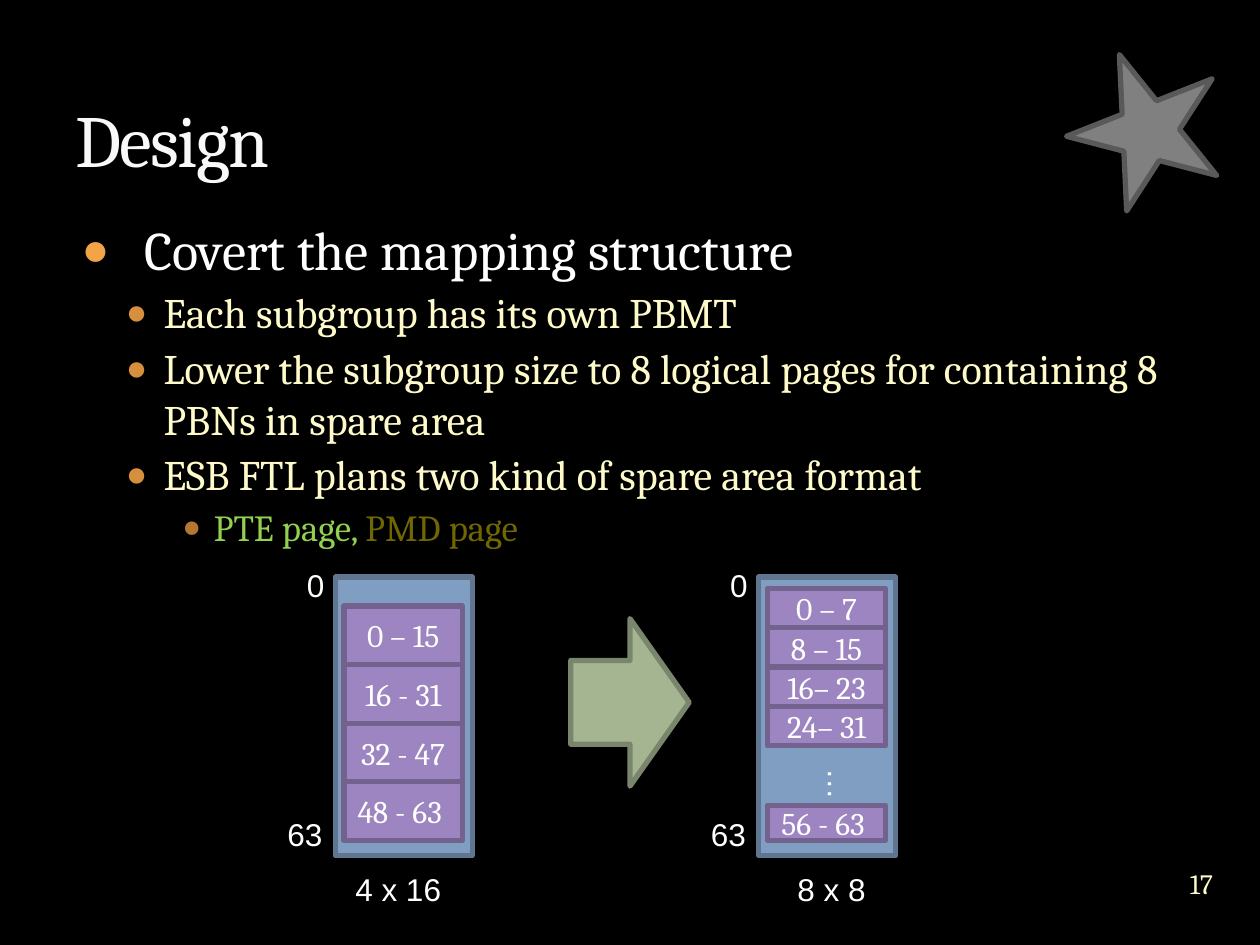
"""Build the Design slide on mapping structure."""
import dataclasses
import pptx
import pptx.util
import pptx.dml.color
import pptx.enum.shapes
import pptx.enum.text
import pptx.oxml
import pptx.oxml.ns

Inches = pptx.util.Inches
Pt = pptx.util.Pt
Kind = pptx.enum.shapes.MSO_SHAPE
Align = pptx.enum.text.PP_ALIGN
Anchor = pptx.enum.text.MSO_ANCHOR
NS = pptx.oxml.ns.nsdecls("a")


@dataclasses.dataclass(frozen=True)
class Theme:
    """Hold the colours, fonts and type sizes."""
    back: str = "000000"
    white: str = "FFFFFF"
    title: str = "F9F9F9"
    cream: str = "FEFAC9"
    green: str = "92D050"
    olive: str = "706702"
    star: tuple = ("808080", "595959")
    block: tuple = ("809EC2", "5F7590")
    cell: tuple = ("9C85C0", "73628E")
    arrow: tuple = ("A5B592", "7A866C")
    dots: tuple = ("F3A447", "D6903D", "B37732")
    serif: str = "Cambria"
    sans: str = "Arial"
    big: int = 42
    sizes: tuple = (31, 24, 21)
    label: int = 18
    page: int = 16
    line: int = 3


THEME = Theme()
LEVELS = ((0.55, -0.5, 6), (0.7, -0.3, 3), (1.1, -0.25, 3))
POINTS = (
    (0, (("Covert the mapping structure ", THEME.white),)),
    (1, (("Each subgroup has its own PBMT", THEME.cream),)),
    (1, (("Lower the subgroup size to 8 logical pages for containing 8 "
          "PBNs in spare area ", THEME.cream),)),
    (1, (("ESB FTL plans two kind of spare area format", THEME.cream),)),
    (2, (("PTE page, ", THEME.green), ("PMD page", THEME.olive))),
)


def rgb(code):
    """Turn a hex code into a colour."""
    return pptx.dml.color.RGBColor.from_string(code)


def style(item, **values):
    """Set each named value on an item."""
    for name, value in values.items():
        setattr(item, name, value)


def place(item, box):
    """Put an item at left, top, width and height in inches."""
    names = ("left", "top", "width", "height")
    style(item, **dict(zip(names, map(Inches, box))))


def write(para, text, size, color, face):
    """Add one run of text and return it."""
    run = para.add_run()
    run.text = text
    style(run.font, name=face, size=Pt(size))
    run.font.color.rgb = rgb(color)
    return run


def shape(shapes, kind, box, paint, text=None):
    """Add a filled shape with an outline and maybe a label."""
    item = shapes.add_shape(kind, *map(Inches, box))
    item.shadow.inherit = False
    fill, edge = paint
    item.fill.solid()
    item.fill.fore_color.rgb = rgb(fill)
    item.line.color.rgb = rgb(edge)
    item.line.width = Pt(THEME.line)
    item.line._get_or_add_ln().append(pptx.oxml.parse_xml(f"<a:round {NS}/>"))
    if text:
        item.text_frame.vertical_anchor = Anchor.MIDDLE
        para = item.text_frame.paragraphs[0]
        para.alignment = Align.CENTER
        write(para, text, THEME.label, THEME.white, THEME.serif)
    return item


def label(shapes, box, text, size=THEME.label, color=THEME.white,
          face=THEME.sans):
    """Add centred text and return its frame."""
    frame = shapes.add_textbox(*map(Inches, box)).text_frame
    frame.word_wrap = True
    para = frame.paragraphs[0]
    para.alignment = Align.CENTER
    write(para, text, size, color, face)
    return frame


def bullet(para, level):
    """Give a paragraph its indent, spacing and bullet."""
    left, hang, before = LEVELS[level]
    style(para, level=level, space_before=Pt(before))
    props = para._p.get_or_add_pPr()
    props.set("marL", str(Inches(left)))
    props.set("indent", str(Inches(hang)))
    for part in (f'<a:buClr {NS}><a:srgbClr val="{THEME.dots[level]}"/></a:buClr>',
                 f'<a:buSzPct {NS} val="85000"/>',
                 f'<a:buFont {NS} typeface="{THEME.sans}"/>',
                 f'<a:buChar {NS} char="●"/>'):
        props.append(pptx.oxml.parse_xml(part))


def title(slide):
    """Place and format the title."""
    item = slide.shapes.title
    place(item, (0.5, 0.17, 9, 1.33))
    item.text_frame.vertical_anchor = Anchor.BOTTOM
    para = item.text_frame.paragraphs[0]
    para.alignment = Align.LEFT
    run = write(para, "Design", THEME.big, THEME.title, THEME.serif)
    run.font._element.set("spc", "-100")


def body(slide):
    """Add the bullet list."""
    frame = slide.shapes.add_textbox(*map(Inches, (0.5, 1.67, 9, 2.8))).text_frame
    frame.word_wrap = True
    for count, (level, runs) in enumerate(POINTS):
        para = frame.add_paragraph() if count else frame.paragraphs[0]
        bullet(para, level)
        for text, color in runs:
            write(para, text, THEME.sizes[level], color, THEME.serif)


def stack(shapes, left, top, end, names):
    """Fill a height with equal cells."""
    step = (end - top) / len(names)
    for row, name in enumerate(names):
        shape(shapes, Kind.RECTANGLE, (left, top + row * step, 0.94, step),
              THEME.cell, name)


def block(slide, left, size, shift):
    """Add a block with its marks and size, and return its shapes."""
    shapes = slide.shapes.add_group_shape().shapes
    shape(shapes, Kind.RECTANGLE, (left, 4.58, 1.09, 2.21), THEME.block)
    label(shapes, (left - 0.39, 4.44, 0.47, 0.6), "0")
    label(shapes, (left - 0.55, 6.42, 0.62, 0.6), "63")
    label(shapes, (left + shift, 6.86, 1.48, 0.4), size)
    return shapes


def main():
    """Build and save the slide."""
    deck = pptx.Presentation()
    style(deck, slide_width=Inches(10), slide_height=Inches(7.5))
    slide = deck.slides.add_slide(deck.slide_layouts[5])
    slide.background.fill.solid()
    slide.background.fill.fore_color.rgb = rgb(THEME.back)
    star = shape(slide.shapes, Kind.STAR_5_POINT, (8.54, 0.49, 1.25, 1.17),
                 THEME.star)
    star.rotation = 122.9
    title(slide)
    body(slide)
    page = label(slide.shapes, (9.2, 6.76, 0.67, 0.5), "17", THEME.page,
                 THEME.cream, THEME.serif)
    style(page, vertical_anchor=Anchor.MIDDLE, margin_left=0, margin_right=0,
          margin_top=0, margin_bottom=0)
    old = block(slide, 2.66, "4 x 16", -0.24)
    stack(old, 2.73, 4.81, 6.67, ("0 – 15", "16 - 31", "32 - 47", "48 - 63 "))
    new = block(slide, 6.02, "8 x 8", -0.16)
    stack(new, 6.09, 4.67, 5.92, ("0 – 7", "8 – 15", "16– 23", "24– 31"))
    stack(new, 6.09, 6.39, 6.67, ("56 - 63 ",))
    more = label(new, (6.37, 6, 0.5, 0.31), "…")
    more._txBody.bodyPr.set("vert", "eaVert")
    shape(new, Kind.RIGHT_ARROW, (4.53, 4.91, 0.94, 1.33), THEME.arrow)
    deck.save("out.pptx")


main()
